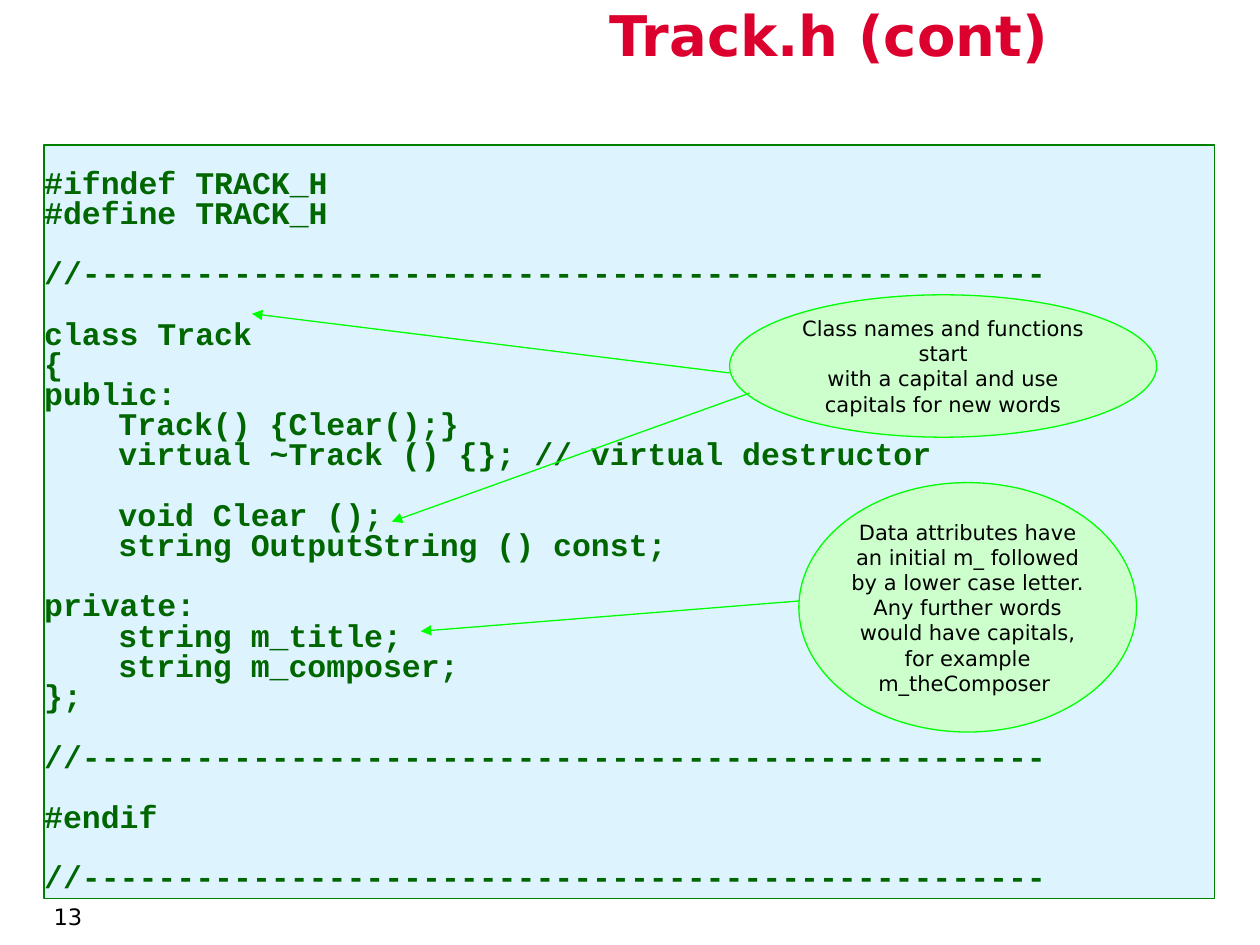
import pptx
import pptx.util
import pptx.dml.color
import pptx.enum.shapes
import pptx.enum.text
import pptx.oxml.ns
from lxml import etree
from pptx.util import Inches

COLORS = {
    "title": "DC002E",
    "text": "000000",
    "code": "006600",
    "code_fill": "DDF4FF",
    "code_line": "008000",
    "note_fill": "CCFFCC",
    "note_line": "00FF00",
}
ALIGN = pptx.enum.text.PP_ALIGN
ANCHOR = pptx.enum.text.MSO_ANCHOR
RULE = "//" + "-" * 51

# An empty string stands for a one-line gap.
CODE = [
    "#ifndef TRACK_H",
    "#define TRACK_H",
    "",
    RULE,
    "",
    "class Track",
    "{",
    "public:",
    "\tTrack() {Clear();}",
    "\tvirtual ~Track () {}; // virtual destructor",
    "",
    "\tvoid Clear ();",
    "\tstring OutputString () const;",
    "",
    "private:",
    "\tstring m_title;",
    "\tstring m_composer;",
    "};",
    "",
    RULE,
    "",
    "#endif",
    "",
    RULE,
]


def rgb(name):
    return pptx.dml.color.RGBColor.from_string(COLORS[name])


class SlideBuilder:
    body_font = "DejaVu Sans"
    code_font = "Courier New"
    line_width = pptx.util.Pt(0.75)
    code_pitch = pptx.util.Pt(17.25)

    def __init__(self, slide):
        self.slide = slide

    def set_text(self, frame, lines, size, color="text", font=None, bold=False,
                 align=ALIGN.CENTER, anchor=ANCHOR.TOP, insets=(0, 0)):
        """Fill a text frame; insets are (horizontal, vertical)."""
        frame.word_wrap = True
        frame.auto_size = pptx.enum.text.MSO_AUTO_SIZE.NONE
        frame.vertical_anchor = anchor
        frame.margin_left = frame.margin_right = Inches(insets[0])
        frame.margin_top = frame.margin_bottom = Inches(insets[1])
        frame.text = "\n".join(lines)
        for paragraph in frame.paragraphs:
            paragraph.alignment = align
            for run in paragraph.runs:
                run.font.name = font or self.body_font
                run.font.size = pptx.util.Pt(size)
                run.font.bold = bold
                run.font.color.rgb = rgb(color)

    def title(self, text, left, top, width, height):
        heading = self.slide.shapes.title
        heading.left, heading.top = Inches(left), Inches(top)
        heading.width, heading.height = Inches(width), Inches(height)
        self.set_text(heading.text_frame, [text], 32, "title", bold=True)

    def page_number(self, text, left, top, width, height):
        number = self.slide.shapes.add_textbox(
            Inches(left), Inches(top), Inches(width), Inches(height))
        self.set_text(number.text_frame, [text], 12.9, align=ALIGN.RIGHT,
                      insets=(0.1, 0.05))
        number.text_frame.paragraphs[0].line_spacing = 0.9

    def filled_shape(self, preset, box, fill, line):
        shape = self.slide.shapes.add_shape(preset, *map(Inches, box))
        shape.shadow.inherit = False
        shape.fill.solid()
        shape.fill.fore_color.rgb = rgb(fill)
        shape.line.color.rgb = rgb(line)
        shape.line.width = self.line_width
        return shape

    def code_panel(self, lines, *box):
        panel = self.filled_shape(pptx.enum.shapes.MSO_SHAPE.RECTANGLE, box,
                                  "code_fill", "code_line")
        frame = panel.text_frame
        self.set_text(frame, [line for line in lines if line], 18, "code",
                      self.code_font, True, ALIGN.LEFT)
        frame.margin_top = Inches(0.2)
        after_gap = [before == "" for before, line
                     in zip([None] + lines, lines) if line]
        hang = Inches(0.59)
        for paragraph, gap in zip(frame.paragraphs, after_gap):
            paragraph.line_spacing = self.code_pitch
            paragraph.space_before = self.code_pitch if gap else 0
            properties = paragraph._p.get_or_add_pPr()
            properties.set("marL", str(hang))
            properties.set("indent", str(-hang))

    def note(self, lines, *box):
        bubble = self.filled_shape(pptx.enum.shapes.MSO_SHAPE.OVAL, box,
                                   "note_fill", "note_line")
        self.set_text(bubble.text_frame, lines, 12, anchor=ANCHOR.MIDDLE)

    def arrow(self, start, end):
        pointer = self.slide.shapes.add_connector(
            pptx.enum.shapes.MSO_CONNECTOR.STRAIGHT,
            *map(Inches, start + end))
        pointer.line.color.rgb = rgb("note_line")
        pointer.line.width = self.line_width
        qn = pptx.oxml.ns.qn
        properties = pointer._element.spPr
        etree.SubElement(properties.find(qn("a:ln")), qn("a:tailEnd"),
                         type="triangle")
        etree.SubElement(properties, qn("a:effectLst"))


def main():
    deck = pptx.Presentation()
    deck.slide_width, deck.slide_height = Inches(10), Inches(7.5)
    builder = SlideBuilder(deck.slides.add_slide(deck.slide_layouts[5]))

    builder.page_number("13", 0, 7.14, 0.75, 0.36)
    builder.code_panel(CODE, 0.35, 1.15, 9.29, 5.98)
    builder.note(["Class names and functions start",
                  "with a capital and use",
                  "capitals for new words"], 5.79, 2.34, 3.39, 1.13)
    builder.arrow((5.79, 2.96), (2, 2.49))
    builder.arrow((5.95, 3.12), (3.11, 4.14))
    builder.note(["Data attributes have an initial m_ followed "
                  "by a lower case letter.",
                  "Any further words would have capitals, "
                  "for example m_theComposer "], 6.34, 3.83, 2.68, 1.98)
    builder.arrow((6.34, 4.77), (3.34, 5.01))
    builder.title("Track.h (cont)", 4.53, 0, 4.1, 0.68)

    deck.save("out.pptx")


if __name__ == "__main__":
    main()
